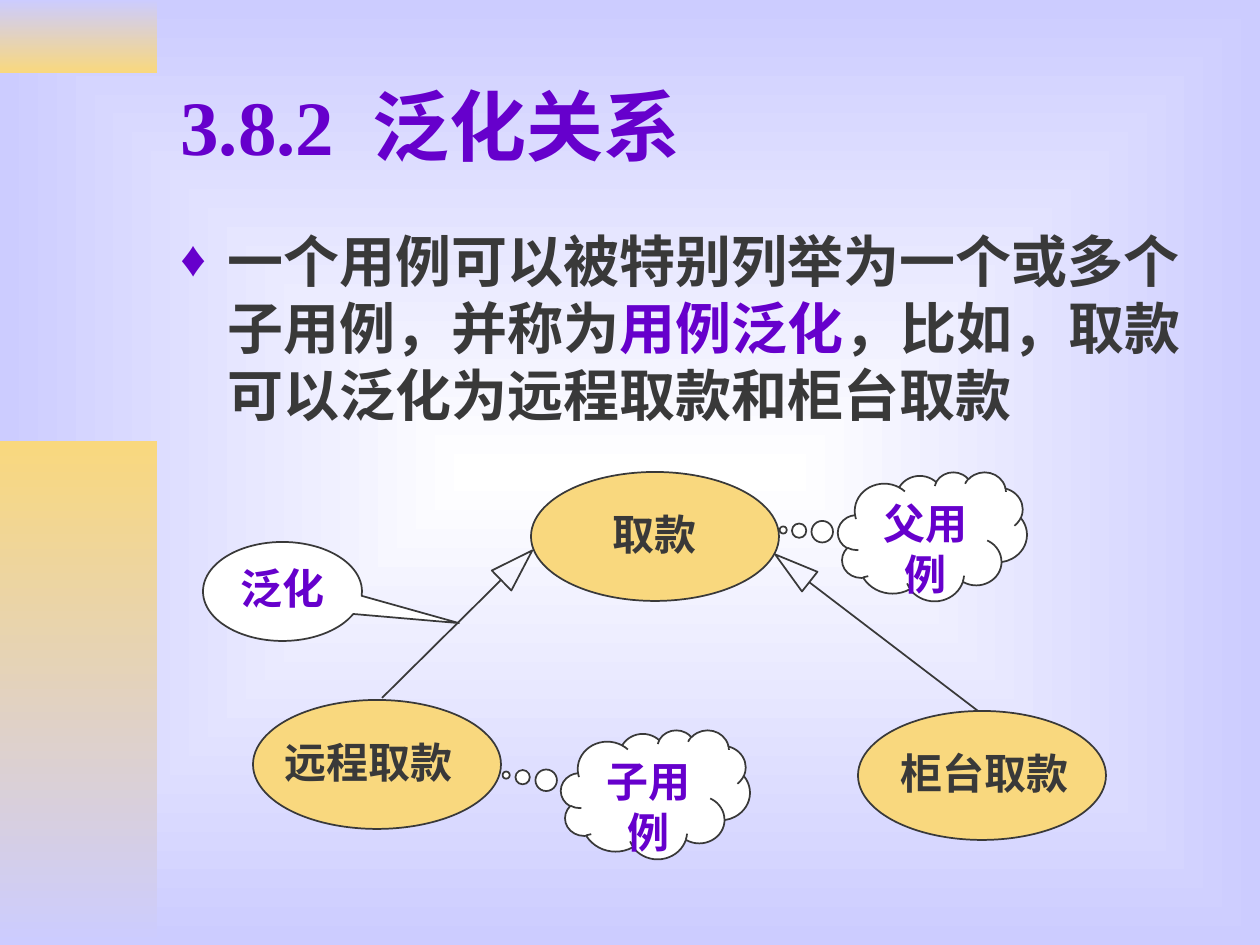
"""Build the slide on use case generalization."""
import dataclasses
import pptx
import pptx.dml.color
import pptx.enum.shapes
import pptx.enum.text
import pptx.oxml
import pptx.oxml.ns
import pptx.util


@dataclasses.dataclass(frozen=True)
class Theme:
    ink: str = "393939"
    key: str = "6600CC"
    gold: str = "F9D87E"
    pale: str = "CCCCFF"
    white: str = "FFFFFF"
    face: str = "Times New Roman"
    head: int = 44
    body: int = 32
    label: int = 24


theme = Theme()
SCALE = 914400 / 126
KIND = pptx.enum.shapes.MSO_SHAPE
ALIGN = pptx.enum.text.PP_ALIGN
ANCHOR = pptx.enum.text.MSO_ANCHOR
RGB = pptx.dml.color.RGBColor.from_string
NS = pptx.oxml.ns.nsdecls("a")

deck = pptx.Presentation()
deck.slide_width = round(1260 * SCALE)
deck.slide_height = round(945 * SCALE)
slide = deck.slides.add_slide(deck.slide_layouts[6])
shapes = slide.shapes


def write(frame, *runs, size=theme.label, align=ALIGN.LEFT, anchor=ANCHOR.TOP, bullet=None):
    frame.word_wrap = True
    frame.vertical_anchor = anchor
    para = frame.paragraphs[0]
    para.alignment = align
    if bullet:
        props = para._p.get_or_add_pPr()
        props.set("marL", str(round(47 * SCALE)))
        props.set("indent", str(round(-47 * SCALE)))
        for xml in (
            f'<a:buClr {NS}><a:srgbClr val="{theme.key}"/></a:buClr>',
            f'<a:buSzPct {NS} val="90000"/>',
            f'<a:buFont {NS} typeface="{theme.face}"/>',
            f'<a:buChar {NS} char="{bullet}"/>',
        ):
            props.append(pptx.oxml.parse_xml(xml))
    for text, color in runs:
        run = para.add_run()
        run.text = text
        run.font.name = theme.face
        run.font.size = pptx.util.Pt(size)
        run.font.bold = True
        run.font.color.rgb = RGB(color)
    return para


def draw(kind, box, fill=None, line=theme.ink):
    shape = shapes.add_shape(kind, *(round(n * SCALE) for n in box))
    shape.shadow.inherit = False
    if fill:
        shape.fill.solid()
        shape.fill.fore_color.rgb = RGB(fill)
    else:
        shape.fill.background()
    if line:
        shape.line.color.rgb = RGB(line)
        shape.line.width = pptx.util.Pt(1)
    else:
        shape.line.fill.background()
    return shape


back = slide.background.fill
back.gradient()
for stop, color in zip(back.gradient_stops, (theme.white, theme.pale)):
    stop.color.rgb = RGB(color)
lin = slide._element.find(".//" + pptx.oxml.ns.qn("a:lin"))
lin.getparent().replace(lin, pptx.oxml.parse_xml(
    f'<a:path {NS} path="rect"><a:fillToRect l="50000" t="50000" r="50000" b="50000"/></a:path>'))

for top, high, colors in (
    (0, 73, (theme.pale, theme.gold)),
    (441, 504, (theme.gold, theme.pale)),
):
    band = draw(KIND.RECTANGLE, (0, top, 157, high), line=None)
    band.fill.gradient()
    band.fill.gradient_angle = 270
    for stop, color in zip(band.fill.gradient_stops, colors):
        stop.color.rgb = RGB(color)

title = shapes.add_textbox(*(round(n * SCALE) for n in (168, 42, 1071, 166)))
para = write(title.text_frame, ("3.8.2", theme.key), (" ", theme.key), ("泛化关系", theme.key),
             size=theme.head, anchor=ANCHOR.MIDDLE)
para.runs[1].font._element.set("spc", str(theme.head * 25))

body = shapes.add_textbox(*(round(n * SCALE) for n in (168, 220, 1071, 242)))
write(body.text_frame,
      ("一个用例可以被特别列举为一个或多个子用例，并称为", theme.ink),
      ("用例泛化", theme.key),
      ("，比如，取款可以泛化为远程取款和柜台取款", theme.ink),
      size=theme.body, bullet="♦")

for text, left, top, inset, wide in (
    ("远程取款", 253, 700, 19, 208),
    ("柜台取款", 858, 711, 30, 208),
    ("取款", 531, 472, 69, 139),
):
    draw(KIND.OVAL, (left, top, 248, 129), theme.gold)
    label = shapes.add_textbox(*(round(n * SCALE) for n in (left + inset, top + 30, wide, 63)))
    write(label.text_frame, (text, theme.ink))

for box, turn, ends in (
    ((503, 544, 28, 43), 45.6, (501, 580, 382, 698)),
    ((780, 546, 25, 44), 308.2, (809, 582, 978, 711)),
):
    tip = draw(KIND.FLOWCHART_EXTRACT, box)
    tip.rotation = turn
    link = shapes.add_connector(
        pptx.enum.shapes.MSO_CONNECTOR.STRAIGHT, *(round(n * SCALE) for n in ends))
    link.line.color.rgb = RGB(theme.ink)
    link.line.width = pptx.util.Pt(1)
    link._element.spPr.append(pptx.oxml.parse_xml(f"<a:effectLst {NS}/>"))

for text, kind, box, tail in (
    ("子用例", KIND.CLOUD_CALLOUT, (561, 730, 189, 129), (-0.79, -0.15)),
    ("父用例", KIND.CLOUD_CALLOUT, (838, 472, 189, 129), (-0.79, -0.05)),
    ("泛化", KIND.OVAL_CALLOUT, (203, 542, 159, 99), (1.11, 0.32)),
):
    note = draw(kind, box, theme.white)
    note.adjustments[0], note.adjustments[1] = tail
    write(note.text_frame, (text, theme.key), align=ALIGN.CENTER)

deck.save("out.pptx")
